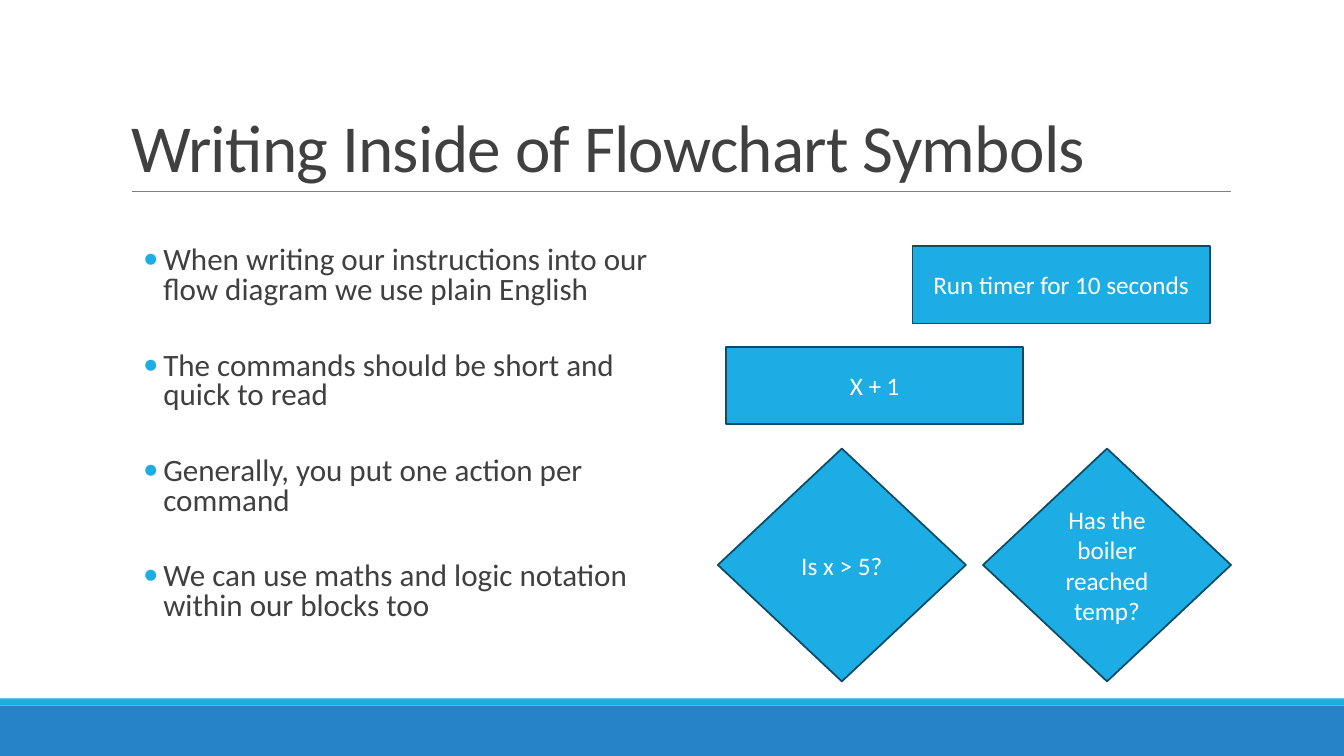
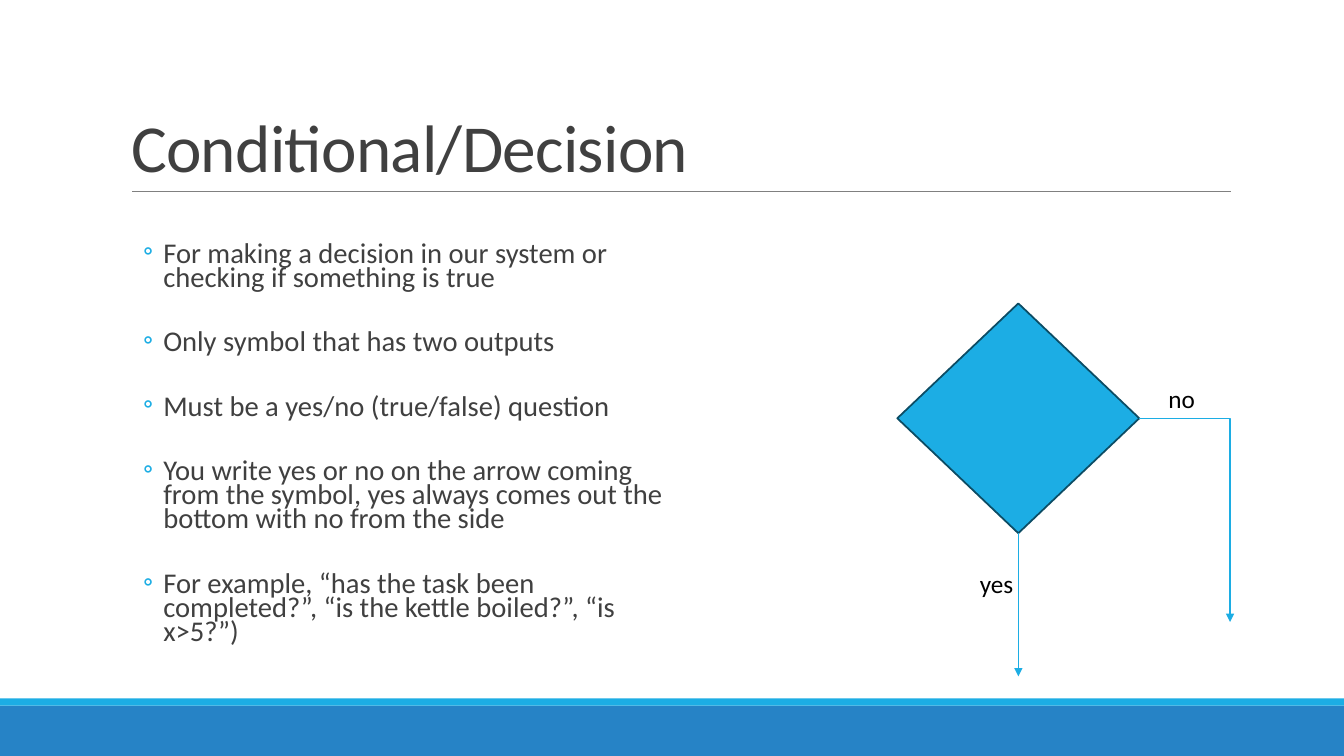
from dataclasses import dataclass

from lxml import etree
from pptx import Presentation
from pptx.dml.color import RGBColor
from pptx.enum import shapes, text
from pptx.oxml import ns
from pptx.util import Inches, Pt

FONT = "Calibri"
ACCENT, BAND, OUTLINE = "1CADE4", "2683C6", "0C4C64"
INK, RULE, WHITE, BLACK = "404040", "808080", "FFFFFF", "000000"
RECT, DIAMOND = shapes.MSO_SHAPE.RECTANGLE, shapes.MSO_SHAPE.DIAMOND
STRAIGHT, ELBOW = shapes.MSO_CONNECTOR.STRAIGHT, shapes.MSO_CONNECTOR.ELBOW


@dataclass
class Symbol:
    kind: int
    left: float
    top: float
    width: float
    height: float
    label: str = ""


@dataclass
class BulletStyle:
    char: str
    size: float
    line_spacing: float
    gap: float
    inset_top: float


@dataclass
class Label:
    words: str
    left: float
    top: float
    width: float


def rgb(value: str) -> RGBColor:
    return RGBColor.from_string(value)


def assign(target, values: dict) -> None:
    for name, value in values.items():
        setattr(target, name, value)


def box(*lengths: float) -> list:
    return [Inches(v) for v in lengths]


def write(p, words: str, size: float, color: str):
    r = p.add_run()
    r.text = words
    assign(r.font, {"name": FONT, "size": Pt(size)})
    r.font.color.rgb = rgb(color)
    return r


def add_symbol(s, symbol: Symbol, fill: str = ACCENT, line: str = OUTLINE):
    sp = s.shapes.add_shape(
        symbol.kind, *box(symbol.left, symbol.top, symbol.width, symbol.height))
    sp.shadow.inherit = False
    sp.fill.solid()
    sp.fill.fore_color.rgb = rgb(fill)
    if line:
        sp.line.color.rgb = rgb(line)
        sp.line.width = Pt(1.25)
    else:
        sp.line.fill.background()
    if symbol.label:
        tf = sp.text_frame
        assign(tf, {"word_wrap": True, "vertical_anchor": text.MSO_ANCHOR.MIDDLE})
        p = tf.paragraphs[0]
        p.alignment = text.PP_ALIGN.CENTER
        write(p, symbol.label, 18, WHITE)
    return sp


def add_line(s, kind: int, start: tuple, end: tuple, color: str, width: float):
    line = s.shapes.add_connector(kind, *box(*start, *end))
    line.line.color.rgb = rgb(color)
    line.line.width = Pt(width)
    etree.SubElement(line._element.spPr, ns.qn("a:effectLst"))
    return line


def add_arrow(s, kind: int, source, side: int, start: tuple, end: tuple):
    arrow = add_line(s, kind, start, end, ACCENT, 1)
    arrow.begin_connect(source, side)
    ln = arrow.line._get_or_add_ln()
    etree.SubElement(ln, ns.qn("a:tailEnd"), type="triangle")
    return arrow


def add_bullets(s, items: list[str], style: BulletStyle) -> None:
    tf = s.shapes.add_textbox(*box(1.2, 2.02, 5.47, 4.4)).text_frame
    assign(tf, {"word_wrap": True, "margin_left": 0, "margin_right": 0,
                "margin_top": Inches(style.inset_top)})
    for i, item in enumerate(items):
        p = tf.add_paragraph() if i else tf.paragraphs[0]
        assign(p, {"line_spacing": style.line_spacing, "space_before": Pt(0),
                   "space_after": Pt(style.gap)})
        pPr = p._p.get_or_add_pPr()
        pPr.set("marL", str(Inches(0.42)))
        pPr.set("indent", str(Inches(-0.2)))
        color = etree.SubElement(pPr, ns.qn("a:buClr"))
        etree.SubElement(color, ns.qn("a:srgbClr"), val=ACCENT)
        etree.SubElement(pPr, ns.qn("a:buFont"), typeface=FONT)
        etree.SubElement(pPr, ns.qn("a:buChar"), char=style.char)
        write(p, item, style.size, INK)


def add_label(s, label: Label) -> None:
    sp = s.shapes.add_textbox(*box(label.left, label.top, label.width, 0.4))
    tf = sp.text_frame
    assign(tf, {"word_wrap": False,
                "auto_size": text.MSO_AUTO_SIZE.SHAPE_TO_FIT_TEXT})
    write(tf.paragraphs[0], label.words, 18, BLACK)


def add_slide(prs, title: str):
    s = prs.slides.add_slide(prs.slide_layouts[5])
    add_symbol(s, Symbol(RECT, 0, 7, 13.33, 0.5), BAND, "")
    add_symbol(s, Symbol(RECT, 0, 6.93, 13.33, 0.07), ACCENT, "")
    add_line(s, STRAIGHT, (1.31, 1.9), (12.21, 1.9), RULE, 0.5)
    sp = s.shapes.title
    assign(sp, dict(zip(("left", "top", "width", "height"),
                        box(1.2, 0.31, 11, 1.59))))
    tf = sp.text_frame
    assign(tf, {"word_wrap": True, "auto_size": text.MSO_AUTO_SIZE.NONE,
                "vertical_anchor": text.MSO_ANCHOR.BOTTOM})
    p = tf.paragraphs[0]
    assign(p, {"alignment": text.PP_ALIGN.LEFT, "line_spacing": 0.85})
    r = write(p, title, 48, INK)
    r._r.get_or_add_rPr().set("spc", "-50")
    return s


def build_writing(prs) -> None:
    s = add_slide(prs, "Writing Inside of Flowchart Symbols")
    add_bullets(s, [
        "When writing our instructions into our flow diagram we use plain English",
        "The commands should be short and quick to read",
        "Generally, you put one action per command",
        "We can use maths and logic notation within our blocks too",
    ], BulletStyle("•", 22.2, 0.8, 32.6, 0.43))
    for symbol in (
        Symbol(RECT, 9.05, 2.44, 2.95, 0.77, "Run timer for 10 seconds"),
        Symbol(RECT, 7.2, 3.44, 2.95, 0.77, "X + 1"),
        Symbol(DIAMOND, 9.75, 4.45, 2.46, 2.31, "Has the boiler reached temp?"),
        Symbol(DIAMOND, 7.12, 4.45, 2.46, 2.31, "Is x > 5?"),
    ):
        add_symbol(s, symbol)


def build_decision(prs) -> None:
    s = add_slide(prs, "Conditional/Decision")
    add_bullets(s, [
        "For making a decision in our system or checking if something is true",
        "Only symbol that has two outputs",
        "Must be a yes/no (true/false) question",
        "You write yes or no on the arrow coming from the symbol, "
        "yes always comes out the bottom with no from the side",
        "For example, “has the task been completed?”, "
        "“is the kettle boiled?”, “is x>5?”)",
    ], BulletStyle("◦", 20.4, 0.7, 29, 0.4))
    decision = add_symbol(s, Symbol(DIAMOND, 8.9, 3.01, 2.4, 2.28))
    no_arrow = add_arrow(s, ELBOW, decision, 3, (11.3, 4.15), (12.2, 6.17))
    no_arrow._element.spPr.find(ns.qn("a:prstGeom")).set("prst", "bentConnector2")
    add_arrow(s, STRAIGHT, decision, 2, (10.1, 5.29), (10.1, 6.71))
    for label in (Label("yes", 9.62, 5.59, 0.54), Label("no", 11.49, 3.75, 0.47)):
        add_label(s, label)


def main() -> None:
    prs = Presentation()
    prs.slide_width, prs.slide_height = box(13.33, 7.5)
    build_writing(prs)
    build_decision(prs)
    prs.save("out.pptx")


if __name__ == "__main__":
    main()
